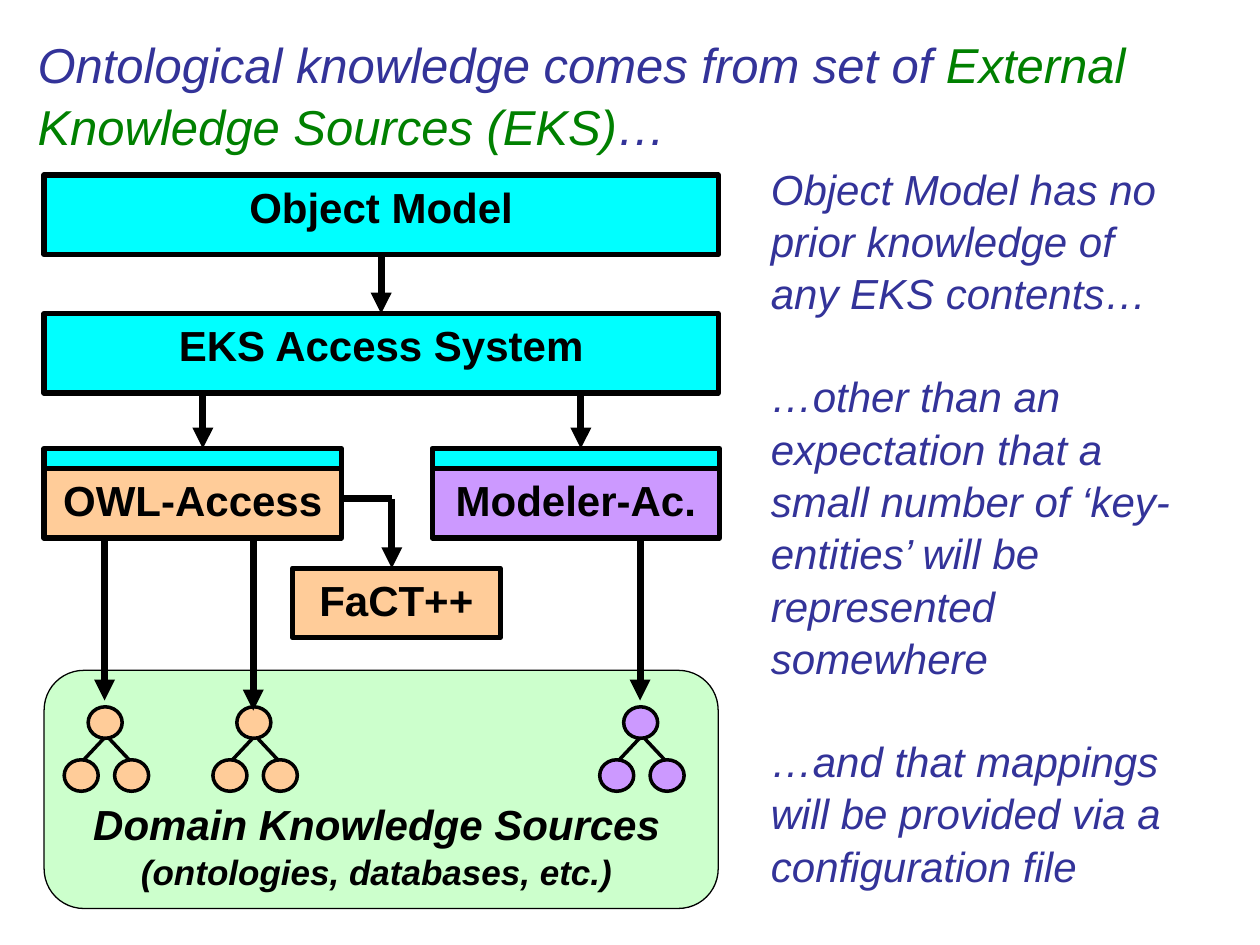
import pptx
import pptx.dml.color
import pptx.enum.shapes
import pptx.enum.text
import pptx.oxml.ns
import pptx.util
from lxml import etree

# Grid: 100 columns by 75 rows; boxes are (column, row, columns, rows)
WIDTH, HEIGHT = pptx.util.Inches(10), pptx.util.Inches(7.5)
COLUMNS, ROWS = 100, 75
BLACK, NAVY, GREEN = "000000", "333399", "008000"
CYAN, ORANGE, PURPLE, MINT = "00FFFF", "FFCC99", "CC99FF", "CCFFCC"
SHAPES = pptx.enum.shapes.MSO_SHAPE
ALIGN = pptx.enum.text.PP_ALIGN
BOTTOM_SIDE, TOP_SIDE = 2, 0


def x(column):
    return int(WIDTH * column / COLUMNS)


def y(row):
    return int(HEIGHT * row / ROWS)


def place(box):
    left, top, width, height = box
    return x(left), y(top), x(width), y(height)


def color(value):
    return pptx.dml.color.RGBColor.from_string(value)


def write(frame, paragraphs, size=24, ink=BLACK, bold=False, italic=False,
          align=ALIGN.LEFT, gap=0, spacing=None):
    """Each paragraph is a list of (text, overrides) runs."""
    frame.word_wrap = True
    frame.vertical_anchor = pptx.enum.text.MSO_ANCHOR.TOP
    for index, runs in enumerate(paragraphs):
        paragraph = frame.add_paragraph() if index else frame.paragraphs[0]
        paragraph.alignment = align
        paragraph.line_spacing = spacing
        paragraph.space_before = pptx.util.Pt(gap if index else 0)
        for text, overrides in runs:
            run = paragraph.add_run()
            run.text = text
            run.font.name = "Arial"
            run.font.size = pptx.util.Pt(overrides.get("size", size))
            run.font.color.rgb = color(overrides.get("ink", ink))
            run.font.bold, run.font.italic = bold, italic


def text_box(slide, box, paragraphs, **style):
    write(slide.shapes.add_textbox(*place(box)).text_frame, paragraphs, **style)


def block(parent, box, fill, label=None, kind=SHAPES.RECTANGLE, weight=3):
    shape = parent.shapes.add_shape(kind, *place(box))
    shape.shadow.inherit = False
    shape.fill.solid()
    shape.fill.fore_color.rgb = color(fill)
    shape.line.color.rgb = color(BLACK)
    shape.line.width = pptx.util.Pt(weight)
    if label:
        write(shape.text_frame, [[(label, {})]], bold=True, align=ALIGN.CENTER)
    return shape


def link(parent, start, end, weight=4, arrow=True):
    connector = parent.shapes.add_connector(
        pptx.enum.shapes.MSO_CONNECTOR.STRAIGHT,
        x(start[0]), y(start[1]), x(end[0]), y(end[1]))
    connector.line.color.rgb = color(BLACK)
    connector.line.width = pptx.util.Pt(weight)
    if arrow:
        etree.SubElement(connector.line._get_or_add_ln(),
                         pptx.oxml.ns.qn("a:tailEnd"), type="triangle")
    etree.SubElement(connector._element.spPr, pptx.oxml.ns.qn("a:effectLst"))
    return connector


def tree(slide, box, fill):
    """Small ontology: one root node over two children."""
    left, top, width, height = box
    node_width, node_height = 2.7, 2.5
    middle, child_top = left + width / 2, top + height - node_height
    group = slide.shapes.add_group_shape()

    def node(column, row):
        block(group, (column, row, node_width, node_height), fill,
              kind=SHAPES.OVAL, weight=2)

    node(middle - node_width / 2 - 0.1, top)
    for side in (-1, 1):
        link(group, (middle + side * 0.2, top + node_height),
             (middle + side * 1.8, child_top), weight=2, arrow=False)
    node(left + width - node_width, child_top)
    node(left, child_top)


def title(slide, box):
    text_box(slide, box, [[
        ("Ontological knowledge comes from set of ", {}),
        ("External Knowledge Sources (EKS)", {"ink": GREEN}),
        ("…", {})]], size=28, ink=NAVY, italic=True, spacing=1.04)


def commentary(slide, box):
    remarks = [
        "Object Model has no prior knowledge of any EKS contents…",
        "…other than an expectation that a small number of ‘key-entities’ "
        "will be represented somewhere",
        "…and that mappings will be provided via a configuration file"]
    text_box(slide, box, [[(remark, {})] for remark in remarks],
             ink=NAVY, italic=True, gap=28.8, spacing=1.04)


def knowledge_sources(slide, box):
    left, top, width, height = box
    block(slide, box, MINT, kind=SHAPES.ROUNDED_RECTANGLE, weight=0.75)
    for offset, fill in ((1.6, ORANGE), (13.4, ORANGE), (44.1, PURPLE)):
        tree(slide, (left + offset, top + 2.9, 6.7, 6.7), fill)
    text_box(slide, (left, top + 9.5, width - 0.7, 8.6),
             [[("Domain Knowledge Sources", {})],
              [("(ontologies, databases, etc.)", {"size": 20})]],
             bold=True, italic=True, align=ALIGN.CENTER, spacing=1.04)


def core_layers(slide, box):
    left, top, width, height = box
    layer = 6.3
    model = block(slide, (left, top, width, layer), CYAN, "Object Model")
    access = block(slide, (left, top + height - layer, width, layer), CYAN,
                   "EKS Access System")
    middle = left + width / 2
    arrow = link(slide, (middle, top + layer), (middle, top + height - layer))
    arrow.begin_connect(model, BOTTOM_SIDE)
    arrow.end_connect(access, TOP_SIDE)


def adapter(slide, box, fill, label, inlet, outlets, inlet_row):
    """Source adapter with a cyan interface strip, fed from above."""
    left, top, width, height = box
    strip = 1.6
    block(slide, (left, top + strip, width, height - strip), fill, label)
    block(slide, (left, top, width, strip), CYAN)
    link(slide, (inlet, inlet_row), (inlet, top))
    for column, end_row in outlets:
        link(slide, (column, top + height), (column, end_row))


def reasoner(slide, box, source_edge, elbow):
    block(slide, box, ORANGE, "FaCT++")
    column, row = elbow
    link(slide, elbow, (column, box[1]))
    link(slide, elbow, (source_edge, row), arrow=False)


def main():
    deck = pptx.Presentation()
    deck.slide_width, deck.slide_height = WIDTH, HEIGHT
    slide = deck.slides.add_slide(deck.slide_layouts[6])

    title(slide, (2, 2.1, 96.1, 11))
    commentary(slide, (60.2, 12.3, 35.4, 59))

    # Architecture, from the data at the bottom to the model at the top
    knowledge_sources(slide, (3.5, 53.2, 53.5, 18.9))
    core_layers(slide, (3.5, 13.9, 53.5, 17.3))
    adapter(slide, (3.5, 35.6, 23.6, 7.1), ORANGE, "OWL-Access",
            16.1, [(8.3, 55.6), (20.1, 56.4)], 31.2)
    adapter(slide, (34.3, 35.6, 22.8, 7.1), PURPLE, "Modeler-Ac.",
            46.1, [(50.8, 55.6)], 31.2)
    reasoner(slide, (23.2, 45.1, 16.5, 5.5), 27.2, (31.1, 39.6))

    deck.save("out.pptx")


if __name__ == "__main__":
    main()
